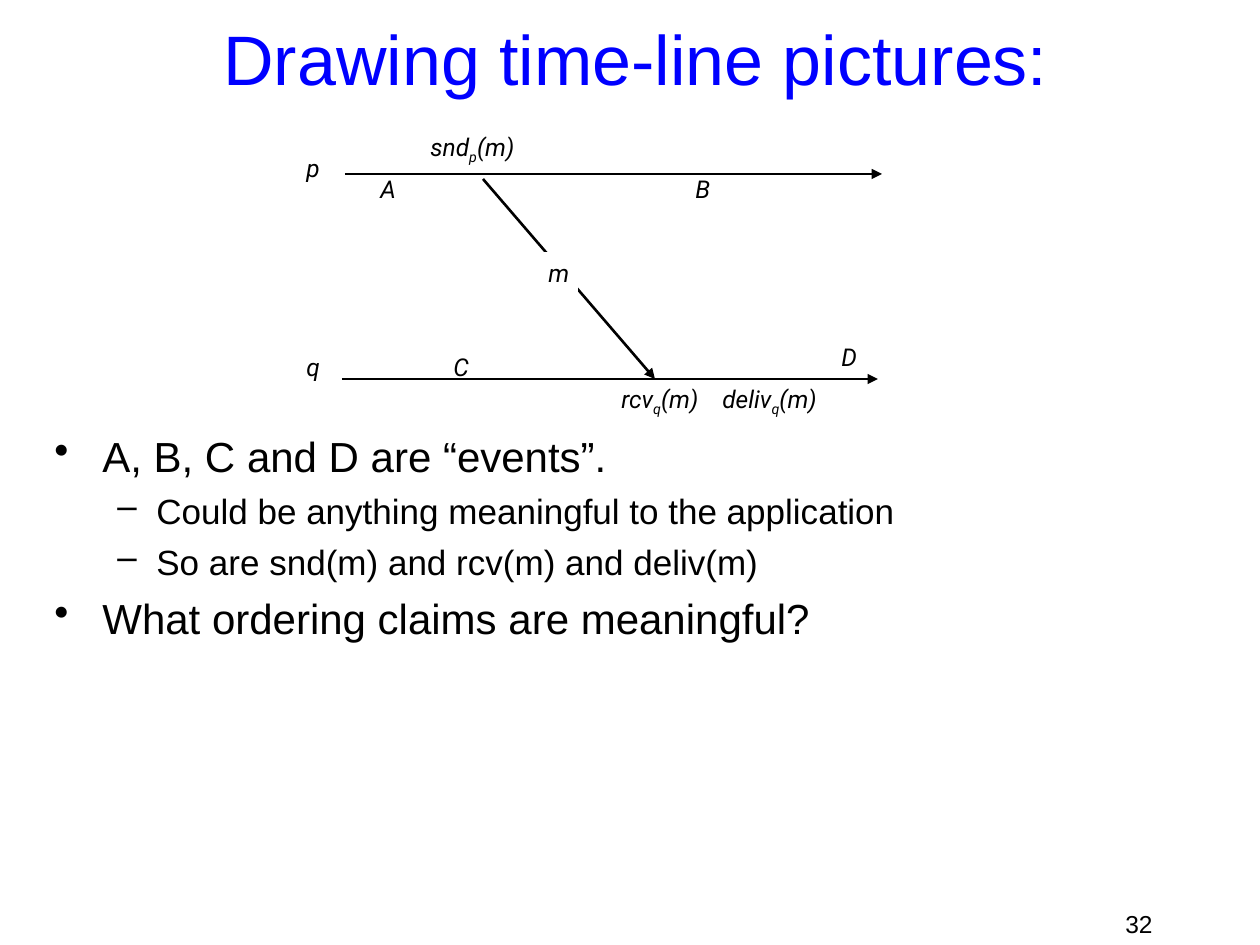
import pptx
import pptx.util
import pptx.dml.color
import pptx.enum.shapes
import pptx.enum.text
import pptx.oxml.ns
from lxml import etree

PX = 914400 // 126
SLIDE = (1260, 945)
BLACK, WHITE, BLUE = "000000", "FFFFFF", "0000FF"

TITLE = "Drawing time-line pictures:"
BULLETS = [
    (0, "A, B, C and D are “events”."),
    (1, "Could be anything meaningful to the application"),
    (1, "So are snd(m) and rcv(m) and deliv(m)"),
    (0, "What ordering claims are meaningful?"),
]
LEVELS = [
    dict(bullet="•", size=24, before=6, left=48, hang=48),
    dict(bullet="–", size=20, before=5, left=102, hang=39),
]
ARROWS = [
    (345, 174, 882, 174),
    (342, 379, 878, 379),
    (483, 179, 655, 379),
]
LABELS = [
    ("p", 294, 147, 42, 125, WHITE),
    ("m", 536, 252, 42, 42, WHITE),
    ("A", 368, 168, 42, 42, None),
    ("C", 441, 346, 42, 42, None),
    ("B", 683, 168, 42, 42, None),
    ("q", 294, 346, 42, 125, None),
    ("D", 829, 336, 42, 42, None),
]
EVENTS = [
    ("snd", "p", 418, 126),
    ("rcv", "q", 609, 378),
    ("deliv", "q", 710, 378),
]


def emu(px):
    return pptx.util.Emu(px * PX)


def color(value):
    return pptx.dml.color.RGBColor.from_string(value)


def add_run(p, text, size=14, font="Arial", fill=BLACK, italic=False, sub=False):
    r = p.add_run()
    r.text = text
    r.font.size = pptx.util.Pt(size)
    r.font.name = font
    r.font.color.rgb = color(fill)
    r.font.italic = italic
    if sub:
        r.font._element.set("baseline", "-25000")


def add_box(s, x, y, w, h, fill=None, align="LEFT", anchor="TOP"):
    box = [emu(v) for v in (x, y, w, h)]
    if fill:
        sp = s.shapes.add_shape(pptx.enum.shapes.MSO_SHAPE.RECTANGLE, *box)
        sp.shadow.inherit = False
        sp.fill.solid()
        sp.fill.fore_color.rgb = color(fill)
        sp.line.fill.background()
    else:
        sp = s.shapes.add_textbox(*box)
    tf = sp.text_frame
    tf.word_wrap = True
    tf.vertical_anchor = getattr(pptx.enum.text.MSO_ANCHOR, anchor)
    tf.paragraphs[0].alignment = getattr(pptx.enum.text.PP_ALIGN, align)
    return tf


def add_bullets(s, x, y, w, h):
    tf = add_box(s, x, y, w, h)
    for i, (level, text) in enumerate(BULLETS):
        style = LEVELS[level]
        p = tf.add_paragraph() if i else tf.paragraphs[0]
        p.level = level
        p.space_before = pptx.util.Pt(style["before"] if i else 0)
        add_run(p, text, size=style["size"])
        pPr = p._p.get_or_add_pPr()
        pPr.set("marL", str(emu(style["left"])))
        pPr.set("indent", str(-emu(style["hang"])))
        bu = etree.SubElement(pPr, pptx.oxml.ns.qn("a:buChar"))
        bu.set("char", style["bullet"])


def add_arrow(s, *ends):
    line = s.shapes.add_connector(
        pptx.enum.shapes.MSO_CONNECTOR.STRAIGHT, *[emu(v) for v in ends])
    line.line.width = pptx.util.Pt(1.5)
    line.line.color.rgb = color(BLACK)
    ln = line.line._get_or_add_ln()
    etree.SubElement(ln, pptx.oxml.ns.qn("a:tailEnd")).set("type", "triangle")
    etree.SubElement(line._element.spPr, pptx.oxml.ns.qn("a:effectLst"))


def main():
    prs = pptx.Presentation()
    prs.slide_width, prs.slide_height = [emu(v) for v in SLIDE]
    s = prs.slides.add_slide(prs.slide_layouts[6])
    tf = add_box(s, 903, 903, 262, 32, align="RIGHT")
    add_run(tf.paragraphs[0], "32")
    tf = add_box(s, 42, 21, 1187, 73, align="CENTER", anchor="MIDDLE")
    add_run(tf.paragraphs[0], TITLE, size=40, fill=BLUE)
    add_bullets(s, 42, 424, 1187, 458)
    for ends in ARROWS:
        add_arrow(s, *ends)
    label = dict(font="Roboto", italic=True)
    for text, x, y, w, h, fill in LABELS:
        tf = add_box(s, x, y, w, h, fill)
        add_run(tf.paragraphs[0], text, **label)
    for name, process, x, y in EVENTS:
        p = add_box(s, x, y, 149, 42).paragraphs[0]
        add_run(p, name, **label)
        add_run(p, process, sub=True, **label)
        add_run(p, "(m)", **label)
    prs.save("out.pptx")


if __name__ == "__main__":
    main()
